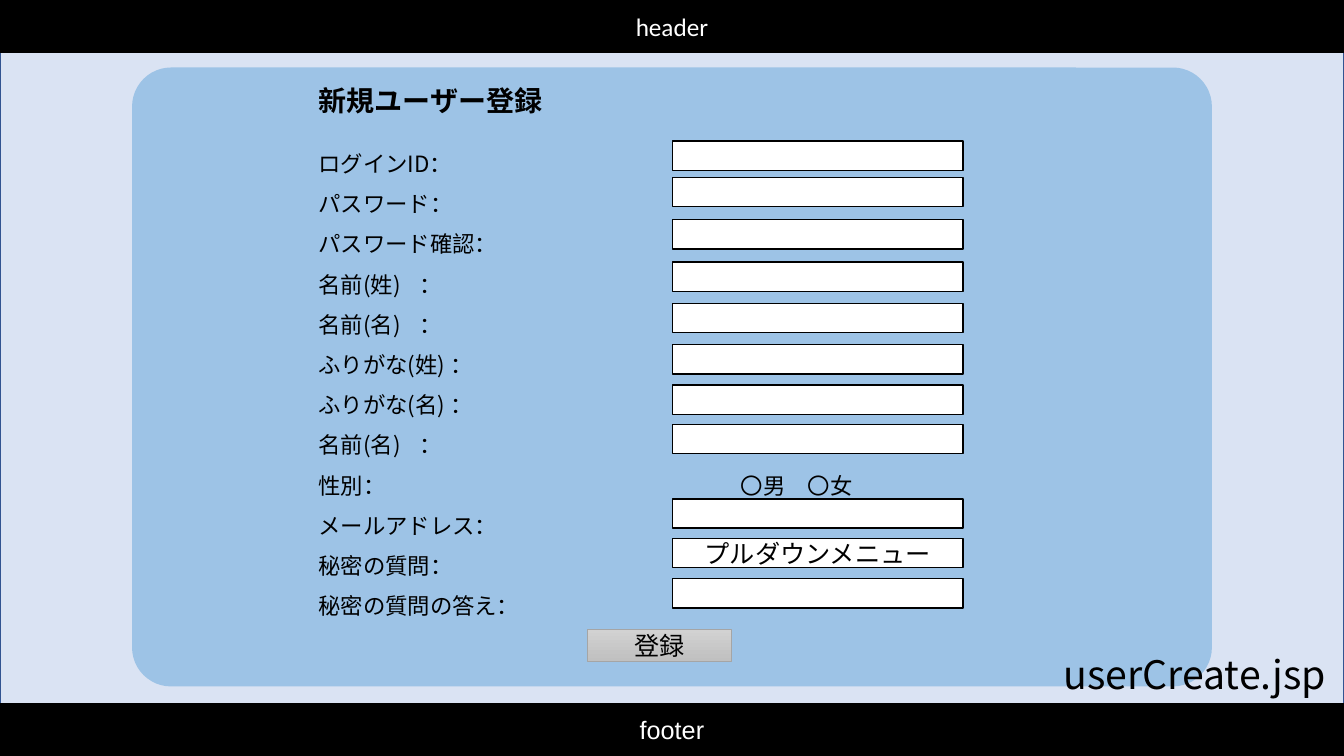
from dataclasses import dataclass
from lxml.etree import SubElement
from pptx import Presentation
from pptx.dml.color import RGBColor
from pptx.enum.shapes import MSO_SHAPE as Kind
from pptx.enum.text import MSO_ANCHOR as Anchor, PP_ALIGN as Align
from pptx.oxml.ns import qn
from pptx.util import Inches, Pt

WIDE, HIGH = 13.33, 7.5
BAR = 0.52
NOTO = "Noto Sans CJK JP"
BLACK, WHITE = "000000", "FFFFFF"
LEFT, FIELD = 3.06, 6.67
PITCH = 28.75


@dataclass(frozen=True)
class Box:
    x: float
    y: float
    w: float
    h: float
    fill: str
    line: str = ""
    text: str = ""
    face: str = NOTO
    ink: str = BLACK
    weight: float = 1


@dataclass(frozen=True)
class Row:
    label: str
    top: float = 0
    text: str = ""


ROWS = (
    Row("ログインID：", 1.4),
    Row("パスワード：", 1.76),
    Row("パスワード確認：", 2.18),
    Row("名前(姓)\t：", 2.6),
    Row("名前(名)\t：", 3.01),
    Row("ふりがな(姓) ：", 3.42),
    Row("ふりがな(名) ：", 3.82),
    Row("名前(名)\t：", 4.21),
    Row("性別：\t〇男　〇女"),
    Row("メールアドレス：", 4.95),
    Row("秘密の質問：", 5.34, "プルダウンメニュー"),
    Row("秘密の質問の答え：", 5.74),
)

deck = Presentation()
deck.slide_width, deck.slide_height = Inches(WIDE), Inches(HIGH)
slide = deck.slides.add_slide(deck.slide_layouts[6])


def tint(code: str) -> RGBColor:
    return RGBColor.from_string(code)


def style(para, text: str, size: float, face: str = NOTO, ink: str = BLACK, bold: bool = False) -> None:
    para.text = text
    font = para.font
    font.size, font.name, font.bold = Pt(size), face, bold
    font.color.rgb = tint(ink)
    base = para._p.find(".//" + qn("a:defRPr"))
    SubElement(base, qn("a:ea")).set("typeface", face)


def draw(box: Box, kind=Kind.RECTANGLE):
    shape = slide.shapes.add_shape(kind, *map(Inches, (box.x, box.y, box.w, box.h)))
    shape.shadow.inherit = False
    shape.fill.solid()
    shape.fill.fore_color.rgb = tint(box.fill)
    if box.line:
        shape.line.color.rgb = tint(box.line)
        shape.line.width = Pt(box.weight)
    else:
        shape.line.fill.background()
    if box.text:
        frame = shape.text_frame
        frame.vertical_anchor = Anchor.MIDDLE
        para = frame.paragraphs[0]
        para.alignment = Align.CENTER
        style(para, box.text, 18, box.face, box.ink)
    return shape


def write(x: float, y: float, w: float, h: float):
    frame = slide.shapes.add_textbox(*map(Inches, (x, y, w, h))).text_frame
    frame.word_wrap = True
    return frame


def stop(para, inch: float) -> None:
    tabs = SubElement(para._p.get_or_add_pPr(), qn("a:tabLst"))
    tab = SubElement(tabs, qn("a:tab"))
    tab.set("pos", str(Inches(inch)))
    tab.set("algn", "l")


def labels() -> None:
    frame = write(LEFT, 0.59, 7.81, 6.31)
    title = frame.paragraphs[0]
    title.line_spacing, title.space_after = Pt(37.3), Pt(14.2)
    style(title, "新規ユーザー登録", 20, bold=True)
    for row in ROWS:
        para = frame.add_paragraph()
        para.line_spacing = Pt(PITCH)
        if not row.top:
            stop(para, 4.19)
        style(para, row.label, 16)


def fields() -> None:
    for row in ROWS:
        if row.top:
            draw(Box(FIELD, row.top, 2.88, 0.29, WHITE, BLACK, row.text))


def button() -> None:
    shape = draw(Box(5.83, 6.24, 1.42, 0.32, "C8C8C8", "A5A5A5", "登録", weight=0.5))
    shape.fill.gradient()
    shape.fill.gradient_angle = 270
    for part, code in zip(shape.fill.gradient_stops, ("D2D2D2", "C0C0C0")):
        part.color.rgb = tint(code)


draw(Box(0, BAR, WIDE, HIGH - 2 * BAR, "DAE3F3", "325491"))
panel = draw(Box(1.31, 0.67, 10.71, 6.14, "9DC3E6"), Kind.ROUNDED_RECTANGLE)
panel.adjustments[0] = 0.063
for top, text, face in ((0, "header", "Calibri"), (HIGH - BAR, "footer", "Arial")):
    draw(Box(0, top, WIDE, BAR, BLACK, BLACK, text, face, WHITE))
style(write(10.45, 6.4, 2.89, 0.57).paragraphs[0], "userCreate.jsp", 28)
labels()
fields()
button()
deck.save("out.pptx")
